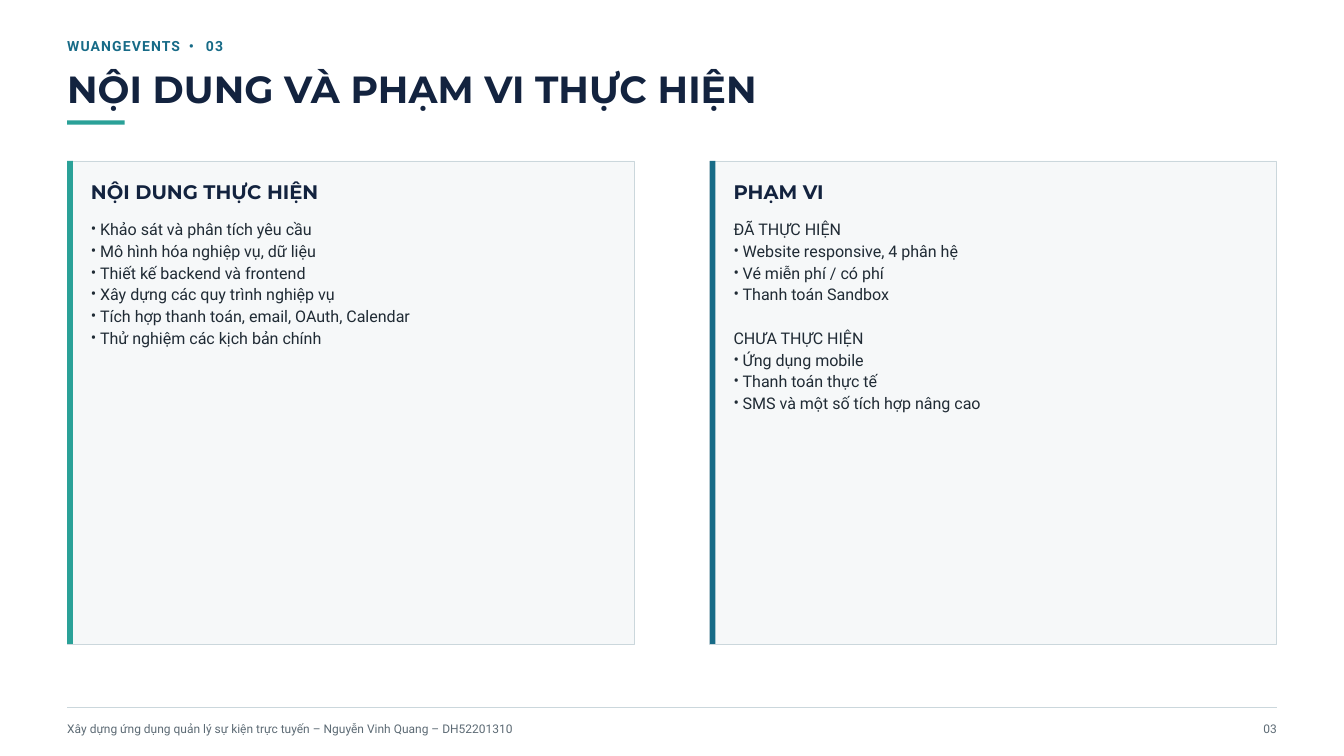
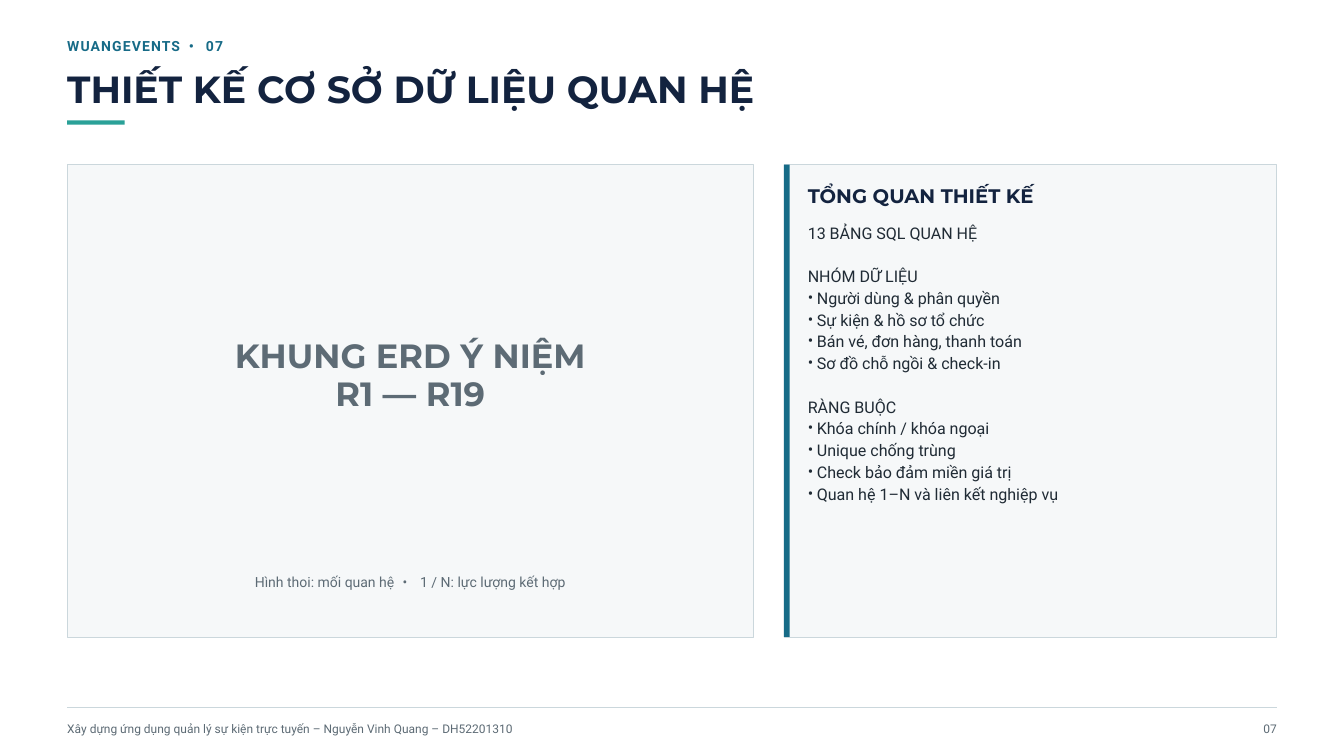
from dataclasses import dataclass

from lxml import etree
from pptx import Presentation
from pptx.dml.color import RGBColor
from pptx.enum.shapes import MSO_CONNECTOR as Connector, MSO_SHAPE as Shape
from pptx.enum.text import MSO_AUTO_SIZE as AutoSize, PP_ALIGN as Align
from pptx.oxml.ns import qn
from pptx.util import Pt

PX = 9525  # EMU per px at 96 px to the inch
PAGE_WIDTH, PAGE_HEIGHT = 1920, 1080
LEFT, RIGHT = 96, 1824
CONTENT_WIDTH = RIGHT - LEFT
STRIPE, CARD_PAD = 8, 34
BULLET_INDENT = 13
BULLET = "• "
FOOTER = "Xây dựng ứng dụng quản lý sự kiện trực tuyến – Nguyễn Vinh Quang – DH52201310"


@dataclass(frozen=True)
class TextStyle:
    font: str
    size: float
    leading: float
    color: str
    bold: bool = False
    spacing: float = 0


@dataclass(frozen=True)
class Theme:
    paper: str = "FFFFFF"
    panel: str = "F6F8F9"
    border: str = "CBD7DC"
    teal: str = "2AA198"
    blue: str = "176B87"
    kicker: TextStyle = TextStyle("Roboto", 15, 21, "176B87", True, 1.2)
    title: TextStyle = TextStyle("Montserrat", 40.5, 45.4, "13233F", True)
    card_title: TextStyle = TextStyle("Montserrat", 21, 24.1, "13233F", True)
    body: TextStyle = TextStyle("Roboto", 17.2, 23.3, "202B35")
    frame_title: TextStyle = TextStyle("Montserrat", 36, 40.3, "5D6B75", True)
    caption: TextStyle = TextStyle("Roboto", 15, 19.5, "5D6B75")
    footer: TextStyle = TextStyle("Roboto", 12.8, 16.6, "5D6B75")


class DeckBuilder:
    def __init__(self, theme):
        self.theme = theme
        self.deck = Presentation()
        self.deck.slide_width = PAGE_WIDTH * PX
        self.deck.slide_height = PAGE_HEIGHT * PX
        self.page = None

    def rect(self, x, y, width, height, fill, border=None):
        box = self.page.shapes.add_shape(
            Shape.RECTANGLE, x * PX, y * PX, width * PX, height * PX)
        box.shadow.inherit = False
        box.fill.solid()
        box.fill.fore_color.rgb = RGBColor.from_string(fill)
        if border:
            box.line.color.rgb = RGBColor.from_string(border)
            box.line.width = Pt(0.75)
        else:
            box.line.fill.background()

    def rule(self, y):
        line = self.page.shapes.add_connector(
            Connector.STRAIGHT, LEFT * PX, y * PX, RIGHT * PX, y * PX)
        line.line.color.rgb = RGBColor.from_string(self.theme.border)
        line.line.width = Pt(0.75)
        etree.SubElement(line._element.spPr, qn("a:effectLst"))

    def span(self, para, text, style, spacing=None):
        span = para.add_run()
        span.text = text
        span.font.name = style.font
        span.font.size = Pt(style.size)
        span.font.bold = style.bold
        span.font.color.rgb = RGBColor.from_string(style.color)
        spacing = style.spacing if spacing is None else spacing
        if spacing:
            span._r.get_or_add_rPr().set("spc", str(round(spacing * 100)))

    def bullet(self, para):
        props = para._p.get_or_add_pPr()
        props.set("marL", str(BULLET_INDENT * PX))
        props.set("indent", str(-BULLET_INDENT * PX))
        etree.SubElement(props, qn("a:buFont"), typeface=self.theme.body.font)
        etree.SubElement(props, qn("a:buChar"), char=BULLET.strip())

    def text(self, x, y, width, height, style, groups, align=Align.LEFT, dot_spacing=None):
        """Write groups of lines, one blank line's height between groups.

        A line that starts with a bullet becomes a list item; dot_spacing
        widens the gaps around a dot inside a line.
        """
        box = self.page.shapes.add_textbox(x * PX, y * PX, width * PX, height * PX)
        frame = box.text_frame
        frame.margin_left = frame.margin_right = 0
        frame.margin_top = frame.margin_bottom = 0
        frame.word_wrap = True
        frame.auto_size = AutoSize.SHAPE_TO_FIT_TEXT
        para = None
        for group in groups:
            for index, line in enumerate(group):
                first = para is None
                para = frame.paragraphs[0] if first else frame.add_paragraph()
                para.alignment = align
                para.line_spacing = Pt(style.leading)
                if index == 0 and not first:
                    para.space_before = Pt(style.leading)
                if line.startswith(BULLET):
                    self.bullet(para)
                    line = line.removeprefix(BULLET)
                before, dot, after = line.partition(" • ")
                self.span(para, before, style)
                if dot:
                    self.span(para, dot, style, dot_spacing)
                    self.span(para, after, style)

    def new_page(self, number, title):
        theme = self.theme
        self.page = self.deck.slides.add_slide(self.deck.slide_layouts[6])
        background = self.page.background.fill
        background.solid()
        background.fore_color.rgb = RGBColor.from_string(theme.paper)
        self.text(LEFT, 50, 900, 28, theme.kicker,
                  [[f"WUANGEVENTS • {number}"]], dot_spacing=4.5)
        self.text(LEFT, 98, 1500, 60, theme.title, [[title]])
        self.rect(LEFT, 172, 82, 6, theme.teal)
        self.rule(1010)
        self.text(LEFT, 1029, 1450, 21, theme.footer, [[FOOTER]])
        self.text(RIGHT - 70, 1029, 70, 21, theme.footer, [[number]], Align.RIGHT)

    def card(self, x, y, width, height, stripe, title, groups):
        theme = self.theme
        inner = width - 2 * CARD_PAD
        lines = sum(map(len, groups)) + len(groups) - 1
        self.rect(x, y, width, height, theme.panel, theme.border)
        self.rect(x, y, STRIPE, height, stripe)
        self.text(x + CARD_PAD, y + 29, inner, 33, theme.card_title, [[title]])
        self.text(x + CARD_PAD, y + 80, inner, 31 * lines, theme.body, groups)

    def erd_frame(self, x, y, width, height, title_lines, caption):
        theme = self.theme
        self.rect(x, y, width, height, theme.panel, theme.border)
        self.text(x + 155, y + 248, width - 310, 107, theme.frame_title,
                  [title_lines], Align.CENTER)
        self.text(x + 80, y + 583, width - 160, 26, theme.caption,
                  [[caption]], Align.CENTER, dot_spacing=5)


def scope_page(builder):
    theme = builder.theme
    builder.new_page("03", "NỘI DUNG VÀ PHẠM VI THỰC HIỆN")
    cards = [
        (theme.teal, "NỘI DUNG THỰC HIỆN", [[
            "• Khảo sát và phân tích yêu cầu",
            "• Mô hình hóa nghiệp vụ, dữ liệu",
            "• Thiết kế backend và frontend",
            "• Xây dựng các quy trình nghiệp vụ",
            "• Tích hợp thanh toán, email, OAuth, Calendar",
            "• Thử nghiệm các kịch bản chính",
        ]]),
        (theme.blue, "PHẠM VI", [
            ["ĐÃ THỰC HIỆN",
             "• Website responsive, 4 phân hệ",
             "• Vé miễn phí / có phí",
             "• Thanh toán Sandbox"],
            ["CHƯA THỰC HIỆN",
             "• Ứng dụng mobile",
             "• Thanh toán thực tế",
             "• SMS và một số tích hợp nâng cao"],
        ]),
    ]
    gap = 108
    width = (CONTENT_WIDTH - gap) // 2
    for column, card in enumerate(cards):
        builder.card(LEFT + column * (width + gap), 230, width, 690, *card)


def database_page(builder):
    builder.new_page("07", "THIẾT KẾ CƠ SỞ DỮ LIỆU QUAN HỆ")
    top, height, frame_width, gap = 235, 675, 980, 44
    builder.erd_frame(LEFT, top, frame_width, height,
                      ["KHUNG ERD Ý NIỆM", "R1 — R19"],
                      "Hình thoi: mối quan hệ • 1 / N: lực lượng kết hợp")
    builder.card(
        LEFT + frame_width + gap, top, CONTENT_WIDTH - frame_width - gap, height,
        builder.theme.blue, "TỔNG QUAN THIẾT KẾ", [
            ["13 BẢNG SQL QUAN HỆ"],
            ["NHÓM DỮ LIỆU",
             "• Người dùng & phân quyền",
             "• Sự kiện & hồ sơ tổ chức",
             "• Bán vé, đơn hàng, thanh toán",
             "• Sơ đồ chỗ ngồi & check-in"],
            ["RÀNG BUỘC",
             "• Khóa chính / khóa ngoại",
             "• Unique chống trùng",
             "• Check bảo đảm miền giá trị",
             "• Quan hệ 1–N và liên kết nghiệp vụ"],
        ])


def main():
    builder = DeckBuilder(Theme())
    scope_page(builder)
    database_page(builder)
    builder.deck.save("out.pptx")


if __name__ == "__main__":
    main()
